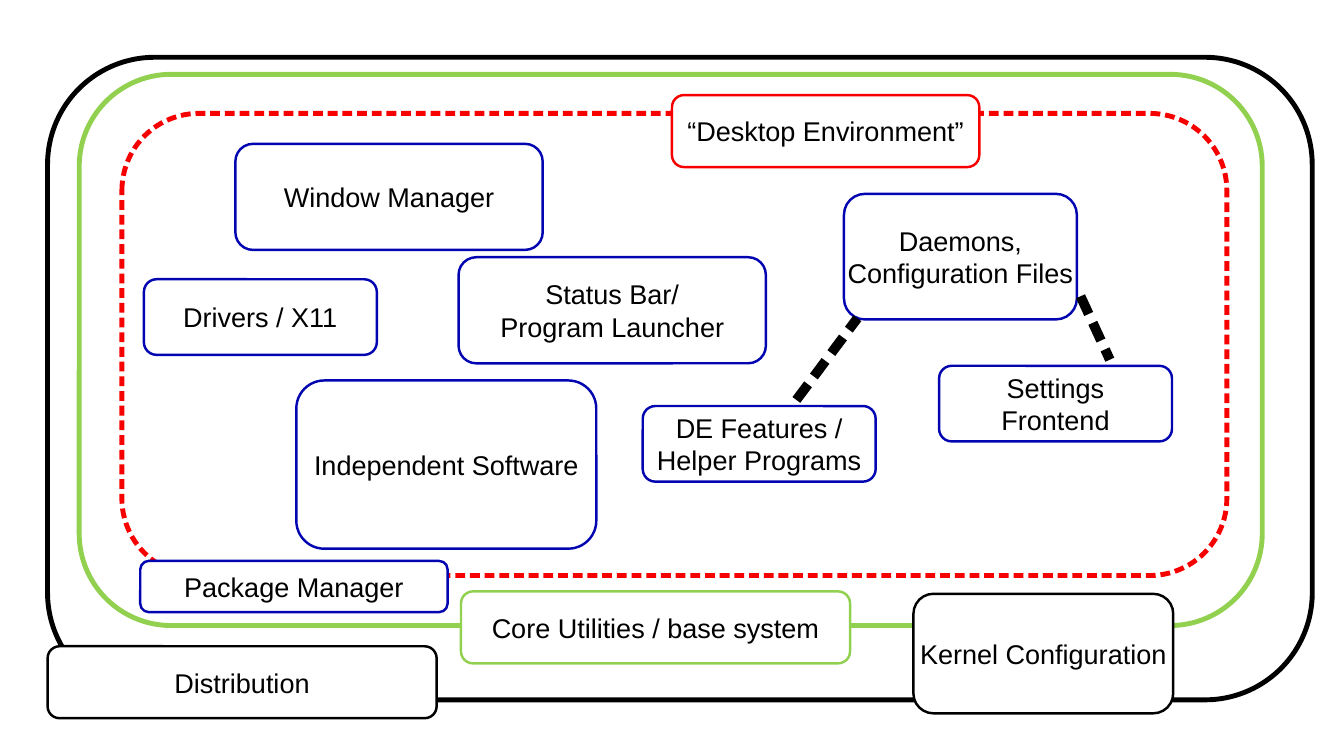
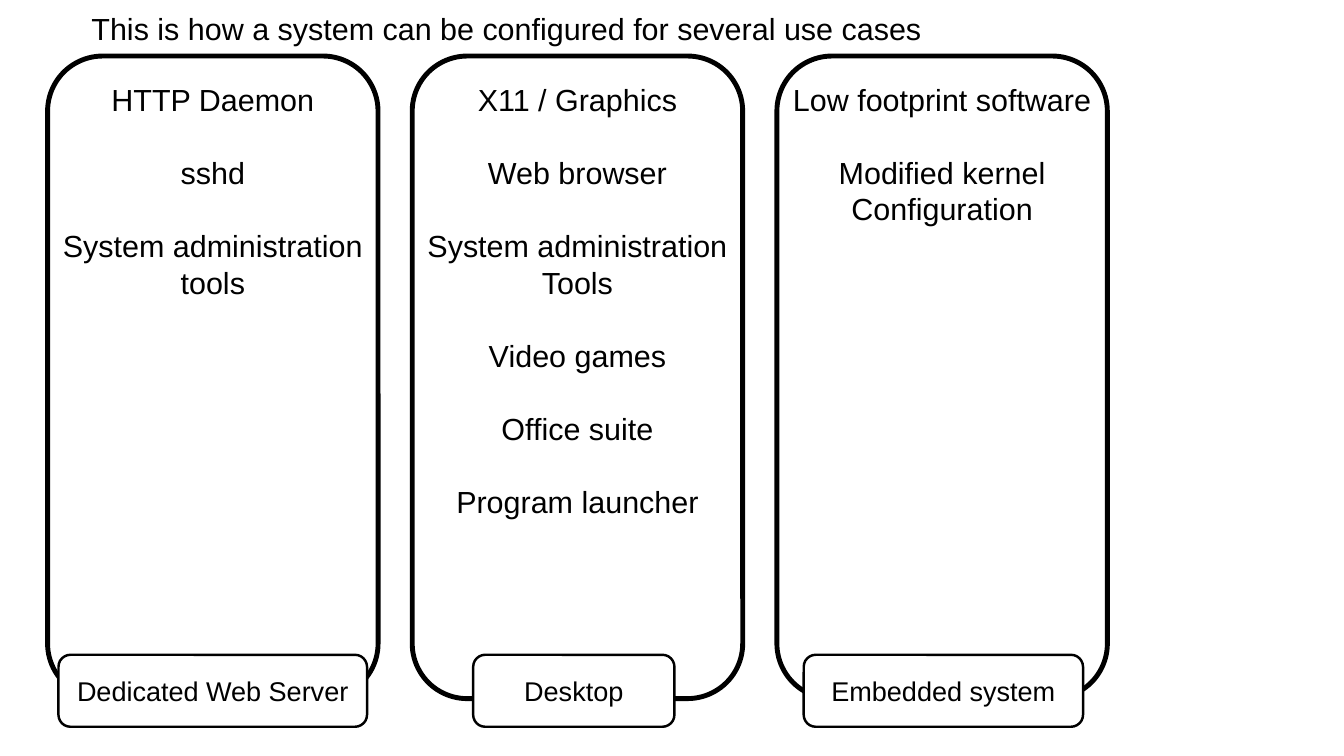
from pptx import Presentation
from pptx.dml.color import RGBColor
from pptx.enum import shapes, text
from pptx.oxml.ns import qn
from pptx.util import Inches, Pt
from lxml import etree

BLACK = RGBColor(0x00, 0x00, 0x00)
WHITE = RGBColor(0xFF, 0xFF, 0xFF)
RED = RGBColor(0xF6, 0x00, 0x00)
GREEN = RGBColor(0x92, 0xD0, 0x50)
BLUE = RGBColor(0x02, 0x05, 0xB0)

FONT = "Arial"
LABEL_SIZE, BODY_SIZE = 16, 18
THIN, THICK, LINK = 1.45, 2.89, 5.75
LABEL_H = 0.59
TITLE_ONLY, BLANK = 5, 6

COLUMN_LEFT, COLUMN_TOP, COLUMN_W, COLUMN_H = 0.39, 0.46, 2.71, 5.27
COLUMN_PITCH = 2.99
ENTRY_GAP = 21.6

# left, top, width, height, outline, text ("\v" breaks the line)
COMPONENTS = [
    (5.51, 0.78, 2.52, LABEL_H, RED, "“Desktop Environment”"),
    (2.43, 3.12, 2.46, 1.38, BLUE, "Independent Software"),
    (6.92, 1.59, 1.91, 1.03, BLUE, "Daemons,\vConfiguration Files"),
    (5.27, 3.33, 1.91, 0.62, BLUE, "DE Features /\vHelper Programs"),
    (3.78, 4.85, 3.19, LABEL_H, GREEN, "Core Utilities / base system"),
    (1.18, 2.29, 1.91, 0.62, BLUE, "Drivers / X11"),
    (7.7, 3, 1.91, 0.62, BLUE, "Settings\vFrontend"),
    (1.93, 1.18, 2.52, 0.87, BLUE, "Window Manager"),
    (0.39, 5.3, 3.19, LABEL_H, BLACK, "Distribution"),
    (7.49, 4.87, 2.13, 0.98, BLACK, "Kernel Configuration"),
    (1.15, 4.6, 2.52, 0.42, BLUE, "Package Manager"),
    (3.76, 2.11, 2.52, 0.87, BLUE, "Status Bar/\vProgram Launcher"),
]

# label, label left, label width, entries
USE_CASES = [
    ("Dedicated Web Server", 0.48, 2.53,
     ["HTTP Daemon", "sshd", "System administration\vtools"]),
    ("Desktop", 3.88, 1.65,
     ["X11 / Graphics", "Web browser", "System administration\vTools",
      "Video games", "Office suite", "Program launcher"]),
    ("Embedded system", 6.59, 2.29,
     ["Low footprint software", "Modified kernel\vConfiguration"]),
]


def dash(line):
    """Dashes two line widths long, one line width apart."""
    ln = line._get_or_add_ln()
    cust = etree.SubElement(ln, qn("a:custDash"))
    etree.SubElement(cust, qn("a:ds"), d="200000", sp="100000")


def style_paragraph(p, size, align):
    p.alignment = align
    for r in p.runs:
        r.font.name = FONT
        r.font.size = Pt(size)
        r.font.color.rgb = BLACK


def add_frame(s, left, top, width, height, color, weight=THICK):
    """Unfilled rounded outline."""
    sp = s.shapes.add_shape(shapes.MSO_SHAPE.ROUNDED_RECTANGLE, Inches(left),
                            Inches(top), Inches(width), Inches(height))
    sp.shadow.inherit = False
    sp.fill.background()
    sp.line.color.rgb = color
    sp.line.width = Pt(weight)
    return sp


def write_centred(sp, entries, size, anchor, inset_x, inset_y, gap=0):
    tf = sp.text_frame
    tf.word_wrap = False
    tf.vertical_anchor = anchor
    tf.margin_left = tf.margin_right = Inches(inset_x)
    tf.margin_top = tf.margin_bottom = Inches(inset_y)
    for i, entry in enumerate(entries):
        p = tf.add_paragraph() if i else tf.paragraphs[0]
        p.text = entry
        p.space_before = Pt(gap if i else 0)
        style_paragraph(p, size, text.PP_ALIGN.CENTER)


def add_label(s, left, top, width, height, color, caption):
    sp = add_frame(s, left, top, width, height, color, THIN)
    sp.fill.solid()
    sp.fill.fore_color.rgb = WHITE
    write_centred(sp, [caption], LABEL_SIZE, text.MSO_ANCHOR.MIDDLE, 0.11, 0.06)


def add_link(s, x1, y1, x2, y2):
    link = s.shapes.add_connector(shapes.MSO_CONNECTOR.STRAIGHT, Inches(x1),
                                  Inches(y1), Inches(x2), Inches(y2))
    link.line.color.rgb = BLACK
    link.line.width = Pt(LINK)
    dash(link.line)
    etree.SubElement(link._element.spPr, qn("a:effectLst"))


def set_title(s, caption):
    title = s.shapes.title
    title.left, title.top = Inches(0.65), Inches(0.03)
    title.width, title.height = Inches(8.78), Inches(0.38)
    tf = title.text_frame
    tf.text = caption
    tf.word_wrap = True
    tf.auto_size = text.MSO_AUTO_SIZE.NONE
    tf.vertical_anchor = text.MSO_ANCHOR.TOP
    style_paragraph(tf.paragraphs[0], BODY_SIZE, text.PP_ALIGN.LEFT)


def build_layers(prs):
    s = prs.slides.add_slide(prs.slide_layouts[BLANK])
    add_frame(s, 0.39, 0.47, 10.37, 5.27, BLACK)
    add_frame(s, 0.65, 0.61, 9.7, 4.52, GREEN)
    dash(add_frame(s, 1, 0.93, 9.06, 3.79, RED).line)
    for component in COMPONENTS:
        add_label(s, *component)
    add_link(s, 6.53, 3.28, 7.03, 2.61)
    add_link(s, 8.86, 2.43, 9.1, 2.95)


def build_use_cases(prs):
    s = prs.slides.add_slide(prs.slide_layouts[TITLE_ONLY])
    set_title(s, "This is how a system can be configured for several use cases")
    for i, (caption, left, width, entries) in enumerate(USE_CASES):
        column = add_frame(s, COLUMN_LEFT + i * COLUMN_PITCH, COLUMN_TOP,
                           COLUMN_W, COLUMN_H, BLACK)
        write_centred(column, entries, BODY_SIZE, text.MSO_ANCHOR.TOP,
                      0.12, 0.07, ENTRY_GAP)
        add_label(s, left, 5.37, width, LABEL_H, BLACK, caption)


def main():
    prs = Presentation()
    prs.slide_width, prs.slide_height = Inches(11.02), Inches(6.2)
    build_layers(prs)
    build_use_cases(prs)
    prs.save("out.pptx")


if __name__ == "__main__":
    main()
